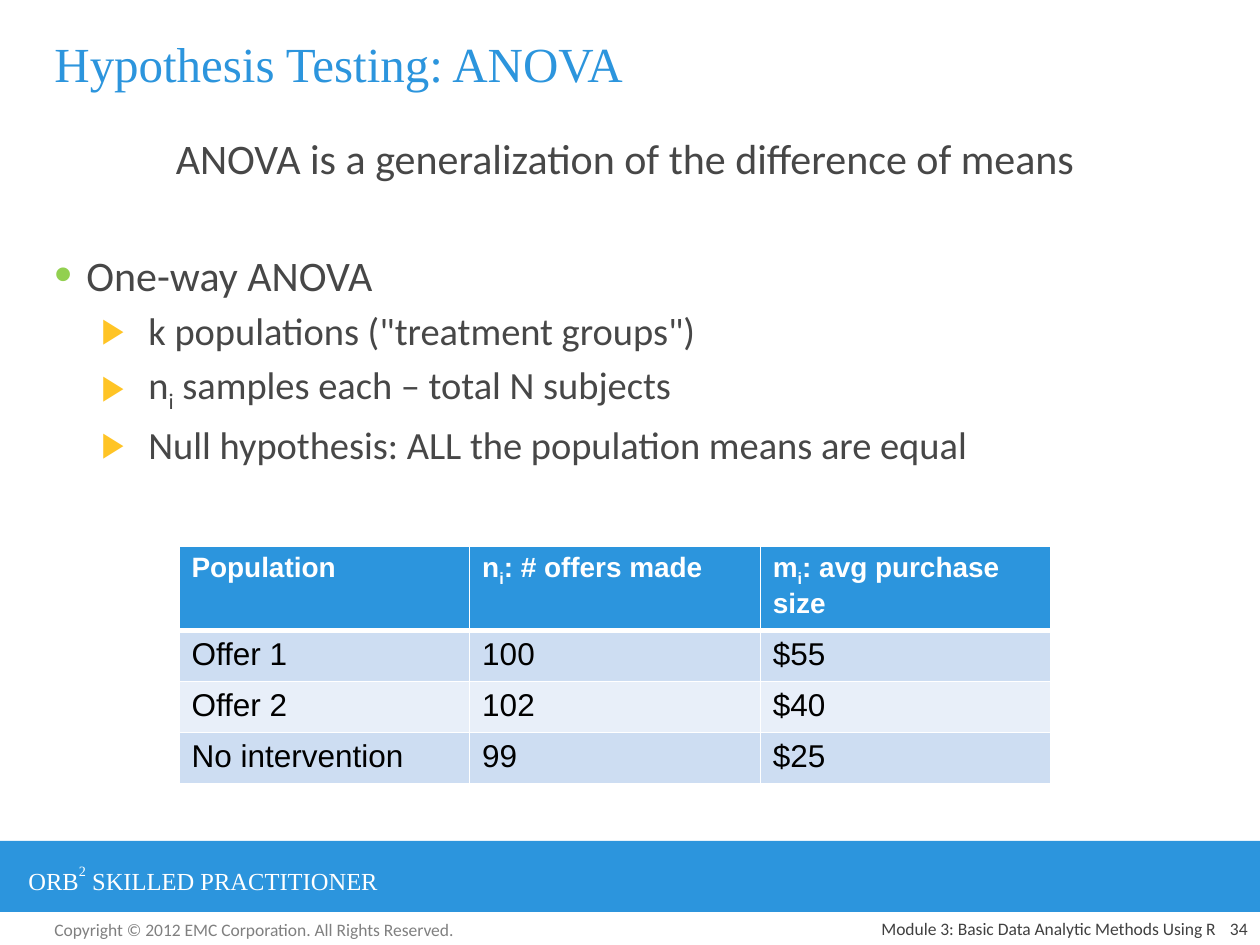
from lxml.etree import SubElement
from pptx import Presentation
from pptx.dml.color import RGBColor
from pptx.enum.shapes import MSO_SHAPE as SHAPE
from pptx.enum.text import MSO_ANCHOR as ANCHOR, PP_ALIGN as ALIGN
from pptx.oxml.ns import qn
from pptx.util import Pt

PX = 914400 / 126
C = {"blue": "2C95DD", "white": "FFFFFF", "body": "474747", "grey": "808080",
     "dark": "404040", "black": "000000", "green": "92D050", "amber": "FFC425",
     "odd": "CDDDF2", "even": "E8EFF9"}
SERIF, SANS, TABLE = "Times New Roman", "Calibri", "Arial"


def px(n):
    """Turn px into EMU."""
    return round(n * PX)


def rgb(name):
    """Look up a colour by name."""
    return RGBColor.from_string(C[name])


def add_runs(p, parts, font, size, color, bold=False):
    """Add runs; a part is text or a (text, baseline percent) pair."""
    for part in parts:
        text, base = (part, 0) if isinstance(part, str) else part
        r = p.add_run()
        r.text = text
        r.font.name, r.font.size, r.font.bold = font, Pt(size), bold
        r.font.color.rgb = rgb(color)
        if base:
            r.font._element.set("baseline", str(base * 1000))


def add_text(s, box, anchor=ANCHOR.TOP):
    """Add an empty wrapping text box and return its frame."""
    tf = s.shapes.add_textbox(*map(px, box)).text_frame
    tf.word_wrap = True
    tf.vertical_anchor = anchor
    return tf


def add_line(s, box, parts, font, size, color, align=ALIGN.LEFT, anchor=ANCHOR.TOP):
    """Place one line of text in a box."""
    p = add_text(s, box, anchor).paragraphs[0]
    p.alignment = align
    add_runs(p, parts, font, size, color)


def set_bullet(p, char, color, percent, left, hang):
    """Give a paragraph a coloured bullet and a hanging indent."""
    pPr = p._p.get_or_add_pPr()
    pPr.set("marL", str(px(left)))
    pPr.set("indent", str(-px(hang)))
    clr = SubElement(pPr, qn("a:buClr"))
    SubElement(clr, qn("a:srgbClr"), val=C[color])
    SubElement(pPr, qn("a:buSzPct"), val=str(percent * 1000))
    SubElement(pPr, qn("a:buFont"), typeface="Arial")
    SubElement(pPr, qn("a:buChar"), char=char)


def add_body(s, box):
    """Write the lead sentence and the bullet list."""
    tf = add_text(s, box)
    p = tf.paragraphs[0]
    p.alignment = ALIGN.CENTER
    add_runs(p, ["ANOVA is a generalization of the difference of means"], SANS, 24, "body")
    p = tf.add_paragraph()
    set_bullet(p, "•", "green", 120, 32, 32)
    p.space_before = Pt(38)
    add_runs(p, ["One-way ANOVA"], SANS, 24, "body")
    for parts in (['k populations ("treatment groups")'],
                  ["n", ("i", -25), " samples each – total N subjects"],
                  ["Null hypothesis: ALL the population means are equal"]):
        p = tf.add_paragraph()
        p.level = 1
        set_bullet(p, "▶", "amber", 90, 94, 47)
        p.space_before = Pt(4.4)
        add_runs(p, parts, SANS, 22, "body")


def set_borders(cell, top, bottom):
    """Draw white cell borders, with top and bottom widths in points."""
    tcPr = cell._tc.get_or_add_tcPr()
    for side, width in (("L", 1), ("R", 1), ("T", top), ("B", bottom)):
        ln = SubElement(tcPr, qn(f"a:ln{side}"), w=str(Pt(width)))
        fill = SubElement(ln, qn("a:solidFill"))
        SubElement(fill, qn("a:srgbClr"), val=C["white"])


def add_offers(s, box):
    """Build the table of offers."""
    rows = [[["Population"], ["n", ("i", -25), ": # offers made"],
             ["m", ("i", -25), ": avg purchase size"]],
            [["Offer 1"], ["100"], ["$55"]],
            [["Offer 2"], ["102"], ["$40"]],
            [["No intervention"], ["99"], ["$25"]]]
    table = s.shapes.add_table(len(rows), 3, *map(px, box)).table
    for col in table.columns:
        col.width = px(box[2] / 3)
    for i, row in enumerate(rows):
        table.rows[i].height = px(51 if i else box[3] - 51 * 3)
        for j, parts in enumerate(row):
            cell = table.cell(i, j)
            set_borders(cell, 3 if i == 1 else 1, 1 if i else 3)
            cell.fill.solid()
            cell.fill.fore_color.rgb = rgb(("odd" if i % 2 else "even") if i else "blue")
            style = (18, "black", False) if i else (16, "white", True)
            add_runs(cell.text_frame.paragraphs[0], parts, TABLE, *style)


def add_band(s, box):
    """Draw the blue band with the programme name."""
    x, y, w, h = box
    sp = s.shapes.add_shape(SHAPE.RECTANGLE, *map(px, box))
    sp.shadow.inherit = False
    sp.fill.solid()
    sp.fill.fore_color.rgb = rgb("blue")
    sp.line.fill.background()
    add_line(s, (x + 16, y + 15, 466, 43), ["ORB", ("2", 56), " SKILLED PRACTITIONER"],
             SERIF, 14, "white")


def add_footer(s, box):
    """Write the copyright line, module name and page number."""
    x, y, w, h = box
    add_line(s, (x + 42, y, 431, 34),
             ["Copyright © 2012 EMC Corporation. All Rights Reserved."], SANS, 10, "grey")
    for left, width, text in ((651, 577, "Module 3: Basic Data Analytic Methods Using R"),
                              (w - 63, 63, "34")):
        add_line(s, (x + left, y, width, h), [text], SANS, 10, "dark",
                 ALIGN.RIGHT, ANCHOR.BOTTOM)


def main():
    """Build and save the slide."""
    prs = Presentation()
    prs.slide_width, prs.slide_height = px(1260), px(945)
    s = prs.slides.add_slide(prs.slide_layouts[6])
    add_band(s, (0, 841, 1260, 71))
    add_line(s, (42, 10, 1166, 105), ["Hypothesis Testing: ANOVA"], SERIF, 28, "blue",
             anchor=ANCHOR.MIDDLE)
    add_body(s, (42, 126, 1166, 714))
    add_offers(s, (179, 546, 872, 232))
    add_footer(s, (0, 913, 1260, 32))
    prs.save("out.pptx")


if __name__ == "__main__":
    main()
